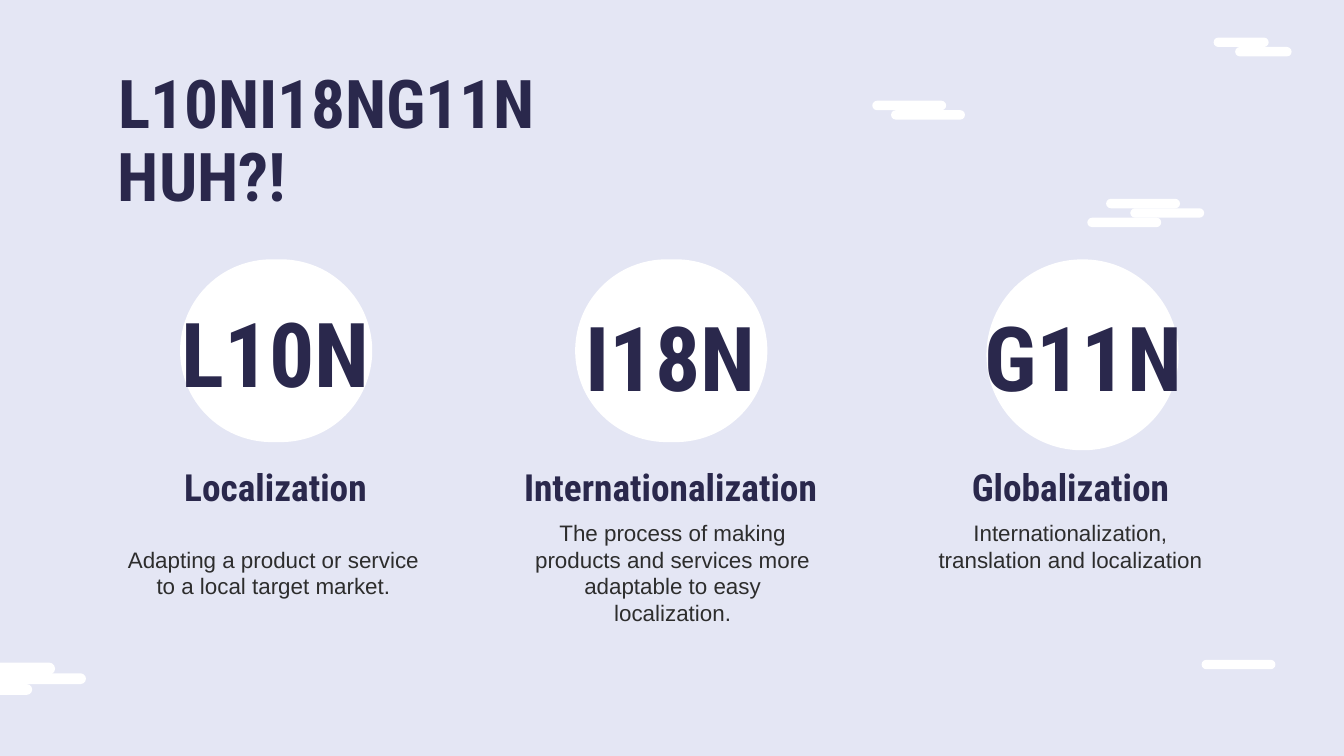
from pptx import Presentation
from pptx import util as u
from pptx.dml.color import RGBColor
from pptx.enum import shapes, text

NAVY, GREY, WHITE, LAVENDER = "2A284C", "2D2D2D", "FFFFFF", "E4E6F4"
HEADING = dict(name="Roboto Condensed", bold=True)
TITLE = dict(HEADING, size=u.Pt(36))
ACRONYM = dict(HEADING, size=u.Pt(48))
TERM = dict(HEADING, size=u.Pt(20))
MEANING = dict(name="Arial", bold=False, size=u.Pt(12))

# Left, top, width, height of each cloud strip
CLOUD_STRIPS = [
    (-0.04, 5.01, 0.68, 0.08), (-0.27, 4.93, 0.68, 0.09), (-0.44, 5.09, 0.68, 0.08),
    (8.41, 1.55, 0.55, 0.07), (8.23, 1.48, 0.55, 0.07), (8.09, 1.62, 0.55, 0.07),
    (6.49, 0.75, 0.55, 0.07), (6.63, 0.82, 0.55, 0.07),
    (8.94, 4.91, 0.55, 0.07),
    (9.19, 0.35, 0.42, 0.07), (9.03, 0.28, 0.41, 0.07),
]

# Acronym, its box, badge left and height, term, its left and width,
# meaning, its left and top inset
COLUMNS = [
    ("L10N", (1.21, 2.26, 1.68, 0.71), 1.34, 1.36, "Localization", 0.79, 2.52,
     "Adapting a product or service to a local target market.", 0.84, 0.3),
    ("I18N", (4.15, 2.25, 1.68, 0.79), 4.28, 1.36, "Internationalization", 3.68, 2.62,
     "The process of making products and services more adaptable to easy localization.",
     3.81, 0.1),
    ("G11N", (7.22, 2.18, 1.68, 0.93), 7.34, 1.42, "Globalization", 6.77, 2.39,
     "Internationalization, translation and localization", 6.77, 0.1),
]


def colour(hex_string):
    return RGBColor.from_string(hex_string)


def inches(box):
    return [u.Inches(length) for length in box]


def add_pill(slide, box):
    """Add a white shape with fully rounded ends."""
    pill = slide.shapes.add_shape(shapes.MSO_SHAPE.ROUNDED_RECTANGLE, *inches(box))
    pill.adjustments[0] = 0.5
    pill.shadow.inherit = False
    pill.fill.solid()
    pill.fill.fore_color.rgb = colour(WHITE)
    pill.line.fill.background()


def write(holder, words, style, ink=NAVY, align=text.PP_ALIGN.CENTER,
          anchor=text.MSO_ANCHOR.TOP, top_inset=0.1):
    frame = holder.text_frame
    layout = dict(word_wrap=True, auto_size=text.MSO_AUTO_SIZE.NONE,
                  vertical_anchor=anchor, margin_top=u.Inches(top_inset))
    for side in ("left", "right", "bottom"):
        layout[f"margin_{side}"] = u.Inches(0.1)
    for key, value in layout.items():
        setattr(frame, key, value)
    paragraph = frame.paragraphs[0]
    paragraph.alignment = align
    paragraph.line_spacing = 1.0
    paragraph.space_before = u.Pt(0)
    run = paragraph.add_run()
    run.text = words
    for key, value in style.items():
        setattr(run.font, key, value)
    run.font.color.rgb = colour(ink)


def add_text(slide, box, words, style, **options):
    write(slide.shapes.add_textbox(*inches(box)), words, style, **options)


def add_title(slide):
    title = slide.shapes.title
    title.left, title.top, title.width, title.height = inches((0.78, 0.36, 8.43, 0.67))
    write(title, "L10NI18NG11N", TITLE, align=text.PP_ALIGN.LEFT)
    add_text(slide, (0.78, 0.9, 8.43, 0.67), "HUH?!", TITLE, align=text.PP_ALIGN.LEFT)


def add_column(slide, acronym, acronym_box, badge_left, badge_height,
               term, term_left, term_width, meaning, meaning_left, top_inset):
    add_pill(slide, (badge_left, 1.93, 1.43, badge_height))
    add_text(slide, acronym_box, acronym, ACRONYM, anchor=text.MSO_ANCHOR.MIDDLE)
    add_text(slide, (term_left, 3.35, term_width, 0.41), term, TERM)
    add_text(slide, (meaning_left, 3.76, 2.39, 1.02), meaning, MEANING,
             ink=GREY, top_inset=top_inset)


def main():
    deck = Presentation()
    deck.slide_width = u.Inches(10)
    deck.slide_height = deck.slide_width * 9 // 16
    slide = deck.slides.add_slide(deck.slide_layouts[5])
    slide.background.fill.solid()
    slide.background.fill.fore_color.rgb = colour(LAVENDER)

    for strip in CLOUD_STRIPS:
        add_pill(slide, strip)
    add_title(slide)
    for column in COLUMNS:
        add_column(slide, *column)
    deck.save("out.pptx")


if __name__ == "__main__":
    main()
